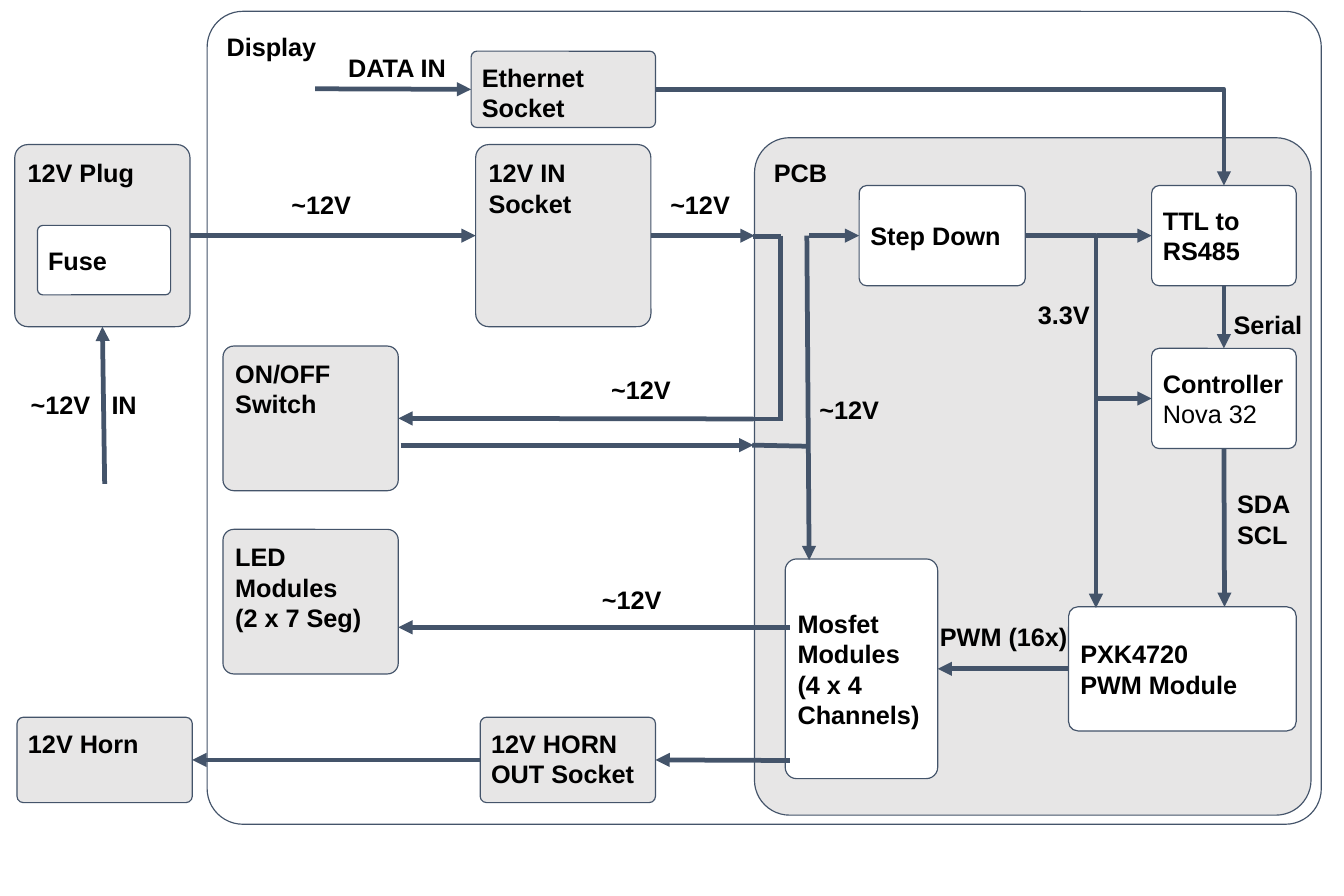
"""Builds the wiring block diagram of a 12V display with its PCB, sockets and horn."""
from dataclasses import dataclass

from lxml.etree import SubElement
from pptx import Presentation
from pptx.dml.color import RGBColor
from pptx.enum.shapes import MSO_CONNECTOR as Connector, MSO_SHAPE as Shape
from pptx.enum.text import MSO_ANCHOR as Anchor, PP_ALIGN as Align
from pptx.oxml.ns import qn
from pptx.util import Inches, Pt


@dataclass(frozen=True)
class Theme:
    """Colours, type and line sizes of the diagram."""
    ink: RGBColor = RGBColor(0, 0, 0)
    line: RGBColor = RGBColor(0x44, 0x54, 0x6A)
    gray: RGBColor = RGBColor(0xE7, 0xE6, 0xE6)
    white: RGBColor = RGBColor(0xFF, 0xFF, 0xFF)
    font: str = "Arial"
    text: Pt = Pt(16)
    outline: Pt = Pt(0.75)
    wire: Pt = Pt(3)
    inset: float = 0.08
    label_inset: float = 0.09


THEME = Theme()
SLIDE_SIZE = (11.81, 7.87)
TOP, LEFT, BOTTOM, RIGHT = range(4)
ROUNDING = 0.075

FRAMES = {
    "display": (["Display"], (1.82, 0.1, 9.79, 7.14), None, 0.044),
    "pcb": (["PCB"], (6.63, 1.21, 4.89, 5.95), THEME.gray, 0.063),
}
PERIPHERALS = {
    "plug": (["12V Plug"], (0.13, 1.27, 1.54, 1.6)),
    "power socket": (["12V IN Socket"], (4.18, 1.27, 1.54, 1.6)),
    "switch": (["ON/OFF Switch"], (1.96, 3.04, 1.54, 1.27)),
    "led": (["LED Modules", "(2 x 7 Seg)"], (1.96, 4.65, 1.54, 1.27)),
    "ethernet": (["Ethernet Socket"], (4.14, 0.45, 1.62, 0.67)),
    "horn socket": (["12V HORN OUT Socket"], (4.22, 6.3, 1.54, 0.75)),
    "horn": (["12V Horn"], (0.15, 6.3, 1.54, 0.75)),
}
MODULES = {
    "fuse": (["Fuse"], (0.33, 1.98, 1.17, 0.61)),
    "step down": (["Step Down"], (7.55, 1.63, 1.46, 0.88)),
    "ttl": (["TTL to RS485"], (10.12, 1.63, 1.27, 0.88)),
    "controller": (["Controller", "Nova 32"], (10.12, 3.06, 1.27, 0.88)),
    "pwm": (["PXK4720", "PWM Module"], (9.39, 5.33, 2, 1.09)),
    "mosfet": (["Mosfet Modules", "(4 x 4 Channels)"], (6.9, 4.91, 1.34, 1.93)),
}
REGULAR_LINES = {"Nova 32"}

ARROWS = [
    (("plug", RIGHT), ("power socket", LEFT)),
    (("power socket", RIGHT), (6.63, 2.07)),
    ((7.11, 2.07), ("step down", LEFT)),
    ((7.09, 2.07), (7.11, 4.92)),
    ((2.77, 0.78), ("ethernet", LEFT)),
    (("ttl", BOTTOM), ("controller", TOP)),
    (("controller", BOTTOM), (10.76, 5.33)),
    ((6.62, 3.68), ("switch", RIGHT)),
    ((3.52, 3.91), (6.62, 3.91)),
    ((9.65, 3.5), ("controller", LEFT)),
    ((9.64, 2.07), ("ttl", LEFT)),
    (("pwm", LEFT), ("mosfet", RIGHT)),
    ((6.94, 6.68), ("horn socket", RIGHT)),
    (("horn socket", LEFT), ("horn", RIGHT)),
    ((6.94, 5.51), (3.5, 5.51)),
    ((0.92, 4.25), ("plug", BOTTOM)),
]
BENT_ARROWS = [
    (("step down", RIGHT), (9.63, 5.34)),
    (("ethernet", RIGHT), ("ttl", TOP)),
]
PLAIN_WIRES = [
    ((6.62, 2.08), (6.86, 2.08)),
    ((6.86, 2.07), (6.86, 3.7)),
    ((6.62, 3.68), (6.86, 3.68)),
    ((6.61, 3.91), (7.1, 3.92)),
]

LABELS = [
    (["~12V"], (7.11, 3.37), 0.83, Align.LEFT),
    (["~12V"], (2.47, 1.57), 0.83, Align.LEFT),
    (["~12V"], (5.8, 1.57), 0.83, Align.LEFT),
    (["~12V"], (5.28, 3.2), 0.83, Align.LEFT),
    (["~12V"], (5.2, 5.04), 0.83, Align.LEFT),
    (["~12V"], (0.18, 3.33), 0.83, Align.LEFT),
    (["IN"], (0.89, 3.33), 0.5, Align.LEFT),
    (["DATA IN"], (2.97, 0.37), 1.3, Align.LEFT),
    (["3.3V"], (9.03, 2.54), 0.83, Align.LEFT),
    (["Serial"], (10.75, 2.63), 0.83, Align.LEFT),
    (["SDA", "SCL"], (10.78, 4.2), 0.83, Align.LEFT),
    (["PWM (16x)"], (8.09, 5.37), 1.46, Align.CENTER),
]
LABEL_HEIGHT = 0.61


def write(frame, lines, inset, anchor=Anchor.TOP, align=Align.LEFT):
    """Fill a text frame with one paragraph per line."""
    frame.word_wrap = True
    frame.vertical_anchor = anchor
    frame.margin_left = frame.margin_right = Inches(inset)
    frame.margin_top = frame.margin_bottom = Inches(inset)
    for number, line in enumerate(lines):
        paragraph = frame.add_paragraph() if number else frame.paragraphs[0]
        paragraph.alignment = align
        run = paragraph.add_run()
        run.text = line
        run.font.name = THEME.font
        run.font.size = THEME.text
        run.font.bold = line not in REGULAR_LINES
        run.font.color.rgb = THEME.ink


def add_block(slide, lines, bounds, fill, rounding=ROUNDING, anchor=Anchor.TOP):
    """Draw one rounded block with its title."""
    block = slide.shapes.add_shape(Shape.ROUNDED_RECTANGLE, *map(Inches, bounds))
    block.adjustments[0] = rounding
    block.shadow.inherit = False
    if fill is None:
        block.fill.background()
    else:
        block.fill.solid()
        block.fill.fore_color.rgb = fill
    block.line.color.rgb = THEME.line
    block.line.width = THEME.outline
    write(block.text_frame, lines, THEME.inset, anchor)
    return block


def add_wire(slide, blocks, start, end, arrow=True, bent=False):
    """Draw a wire between two ends, each a point or a (block, side) pair."""
    kind = Connector.ELBOW if bent else Connector.STRAIGHT
    points = [(0, 0) if end_point[0] in blocks else end_point for end_point in (start, end)]
    wire = slide.shapes.add_connector(kind, *map(Inches, points[0] + points[1]))
    for place, join in ((start, wire.begin_connect), (end, wire.end_connect)):
        if place[0] in blocks:
            join(blocks[place[0]], place[1])
    wire.line.color.rgb = THEME.line
    wire.line.width = THEME.wire
    properties = wire._element.spPr
    if bent:
        properties.find(qn("a:prstGeom")).set("prst", "bentConnector2")
    if arrow:
        SubElement(wire.line._get_or_add_ln(), qn("a:tailEnd"), type="triangle")
    SubElement(properties, qn("a:effectLst"))


def main():
    """Build and save the slide."""
    deck = Presentation()
    deck.slide_width, deck.slide_height = map(Inches, SLIDE_SIZE)
    slide = deck.slides.add_slide(deck.slide_layouts[6])
    blocks = {}
    for name, (lines, bounds, fill, rounding) in FRAMES.items():
        blocks[name] = add_block(slide, lines, bounds, fill, rounding)
    for name, (lines, bounds) in PERIPHERALS.items():
        blocks[name] = add_block(slide, lines, bounds, THEME.gray)
    for name, (lines, bounds) in MODULES.items():
        blocks[name] = add_block(slide, lines, bounds, THEME.white, anchor=Anchor.MIDDLE)
    for start, end in ARROWS:
        add_wire(slide, blocks, start, end)
    for start, end in BENT_ARROWS:
        add_wire(slide, blocks, start, end, bent=True)
    for start, end in PLAIN_WIRES:
        add_wire(slide, blocks, start, end, arrow=False)
    for lines, corner, width, align in LABELS:
        label = slide.shapes.add_textbox(*map(Inches, (*corner, width, LABEL_HEIGHT)))
        write(label.text_frame, lines, THEME.label_inset, align=align)
    deck.save("out.pptx")


if __name__ == "__main__":
    main()
